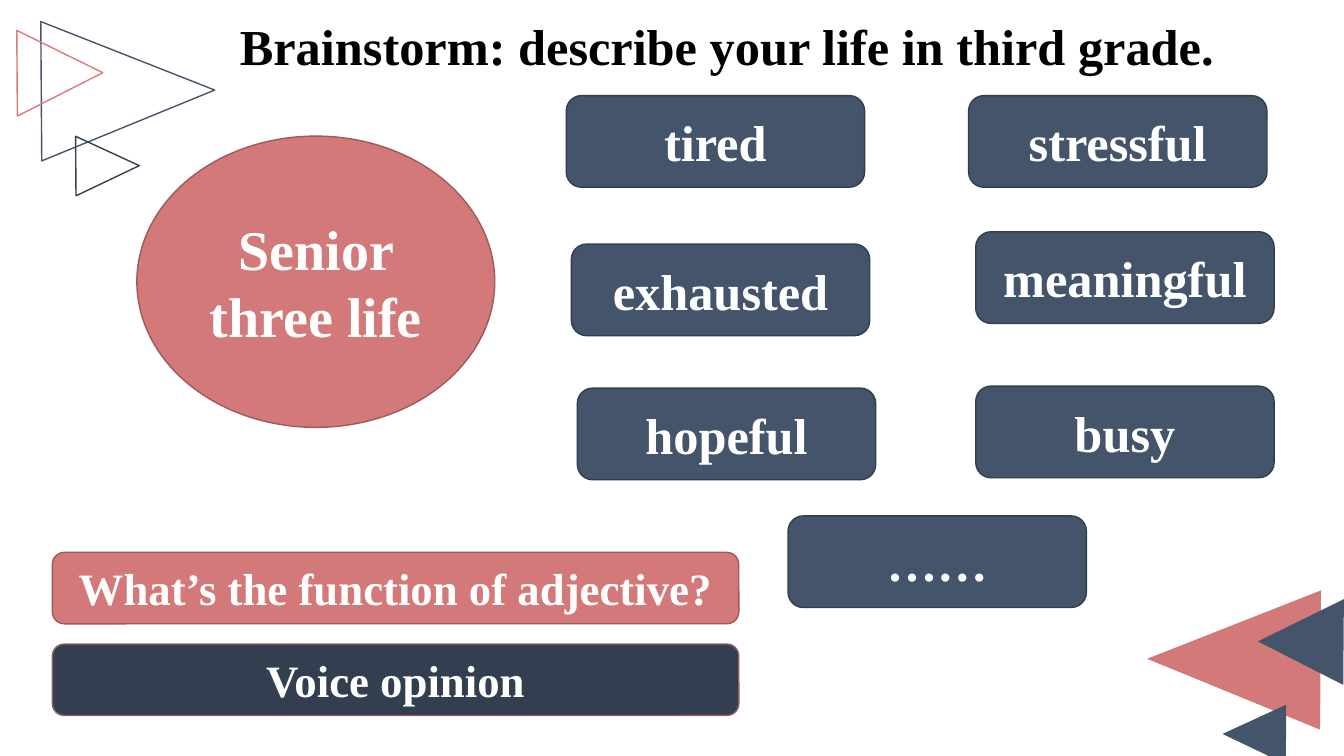
from pptx import Presentation
from pptx.dml.color import RGBColor
from pptx.enum.shapes import MSO_SHAPE as Shape
from pptx.enum.text import MSO_ANCHOR as Anchor, MSO_AUTO_SIZE as AutoSize, PP_ALIGN as Align
from pptx.util import Cm, Pt

CORAL, CORAL_EDGE, CORAL_BRIGHT = "D37979", "9C5A5A", "DD7979"
SLATE, SLATE_EDGE, NAVY = "44546A", "323E4E", "333F50"
WHITE, BLACK = "FFFFFF", "000000"


def color(value):
    return RGBColor.from_string(value)


class SlideBuilder:
    font = "Times New Roman"

    def __init__(self, slide):
        self.slide = slide

    def set_text(self, shape, text, size, ink, align):
        frame = shape.text_frame
        frame.text = text
        frame.word_wrap = True
        frame.auto_size = AutoSize.NONE
        frame.vertical_anchor = Anchor.MIDDLE
        paragraph = frame.paragraphs[0]
        paragraph.alignment = align
        font = paragraph.runs[0].font
        font.name, font.size, font.bold = self.font, Pt(size), True
        font.color.rgb = color(ink)

    def title(self, text, left, top, width, height):
        shape = self.slide.shapes.title
        shape.left, shape.top = Cm(left), Cm(top)
        shape.width, shape.height = Cm(width), Cm(height)
        self.set_text(shape, text, 36, BLACK, Align.LEFT)

    def shape(self, kind, left, top, width, height, fill=None, line=None):
        shape = self.slide.shapes.add_shape(kind, Cm(left), Cm(top), Cm(width), Cm(height))
        shape.shadow.inherit = False
        if fill:
            shape.fill.solid()
            shape.fill.fore_color.rgb = color(fill)
        else:
            shape.fill.background()
        if line:
            shape.line.color.rgb = color(line)
            shape.line.width = Pt(1)
        else:
            shape.line.fill.background()
        return shape

    def triangle(self, box, rotation, fill=None, line=None):
        self.shape(Shape.ISOSCELES_TRIANGLE, *box, fill, line).rotation = rotation

    def label(self, kind, text, box, size, fill, line):
        self.set_text(self.shape(kind, *box, fill, line), text, size, WHITE, Align.CENTER)


def main():
    presentation = Presentation()
    presentation.slide_width, presentation.slide_height = Cm(33.87), Cm(19.05)
    builder = SlideBuilder(presentation.slides.add_slide(presentation.slide_layouts[5]))

    large, small, medium = (3.51, 4.37), (1.5, 1.6), (2.16, 2.16)
    for left, top, size, fill in [
        (29.34, 14.43, large, CORAL),
        (30.86, 17.7, small, SLATE),
        (31.7, 15.09, medium, SLATE),
    ]:
        builder.triangle((left, top, *size), 270.4, fill=fill)
    for left, top, size, line in [
        (1.47, 0.1, large, SLATE),
        (1.96, 3.38, small, NAVY),
        (0.43, 0.76, medium, CORAL_BRIGHT),
    ]:
        builder.triangle((left, top, *size), 89.6, line=line)

    builder.title("Brainstorm: describe your life in third grade.", 5.79, 0.25, 27, 1.8)
    builder.label(Shape.OVAL, "Senior three life", (3.45, 3.43, 9.02, 7.34), 40, CORAL, CORAL_EDGE)

    for word, left, top in [
        ("tired", 14.27, 2.41),
        ("stressful", 24.41, 2.41),
        ("exhausted", 14.4, 6.15),
        ("meaningful", 24.59, 5.84),
        ("hopeful", 14.55, 9.78),
        ("busy", 24.59, 9.73),
        ("……", 19.86, 13),
    ]:
        builder.label(Shape.ROUNDED_RECTANGLE, word, (left, top, 7.52, 2.31), 36, SLATE, SLATE_EDGE)

    for text, top, fill in [
        ("What’s the function of adjective?", 13.92, CORAL),
        ("Voice opinion", 16.23, NAVY),
    ]:
        builder.label(Shape.ROUNDED_RECTANGLE, text, (1.32, top, 17.3, 1.8), 32, fill, CORAL_EDGE)

    presentation.save("out.pptx")


if __name__ == "__main__":
    main()
